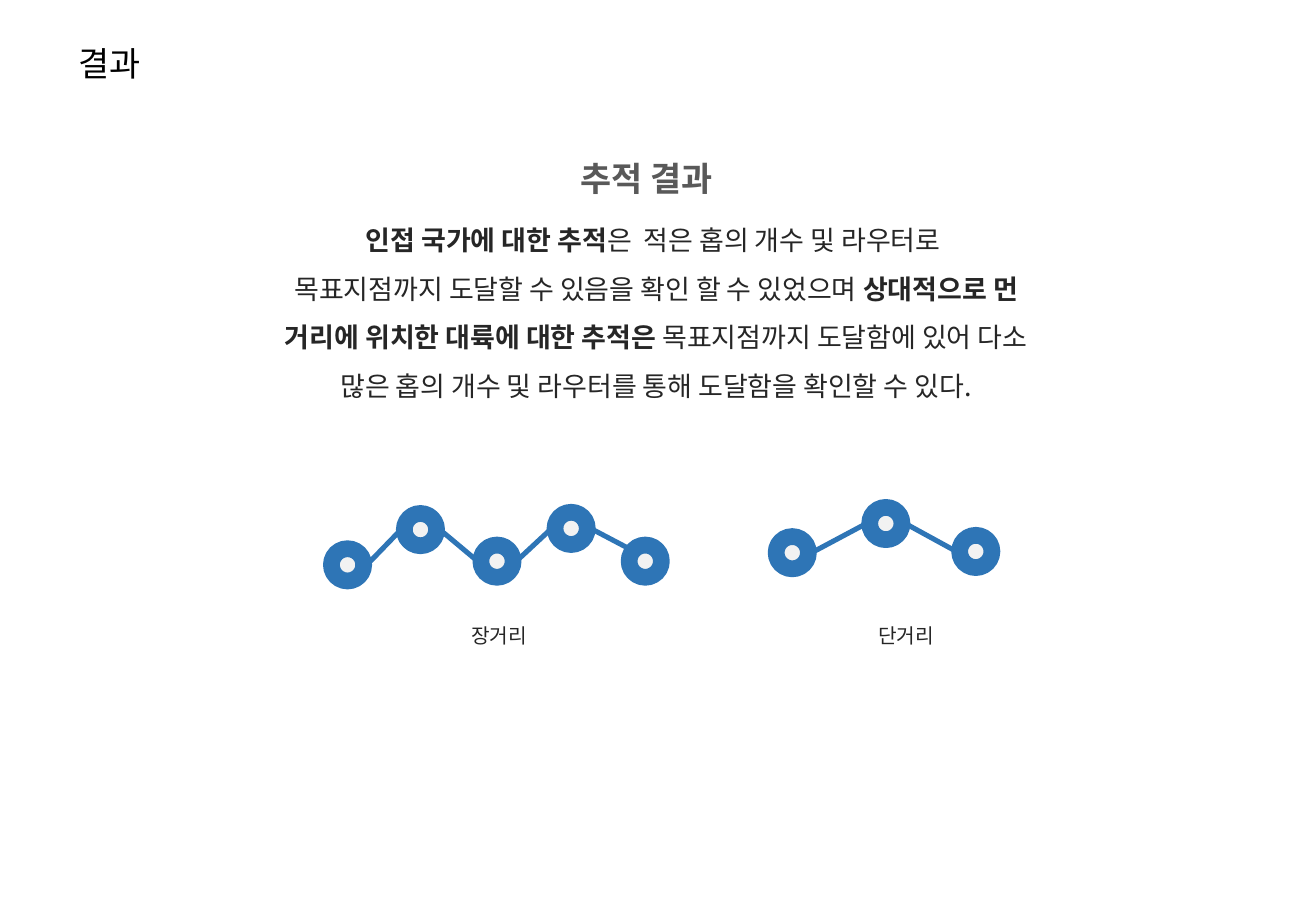
from pptx import Presentation
from pptx.dml.color import RGBColor
from pptx.enum.shapes import MSO_CONNECTOR, MSO_SHAPE
from pptx.enum.text import MSO_AUTO_SIZE, PP_ALIGN
from pptx.oxml.ns import qn
from pptx.util import Inches, Pt

LEFT, CENTER = PP_ALIGN.LEFT, PP_ALIGN.CENTER
OVAL = MSO_SHAPE.OVAL
LINE = MSO_CONNECTOR.STRAIGHT
FIT = MSO_AUTO_SIZE.SHAPE_TO_FIT_TEXT

FONT = "Noto Sans CJK KR"
COLORS = {
    "black": "000000",
    "dark": "262626",
    "gray": "595959",
    "blue": "2E75B6",
    "pale": "F2F2F2",
}
RING, CORE = 0.32, 0.19


class Deck:
    def __init__(self, width, height):
        self.prs = Presentation()
        self.prs.slide_width = Inches(width)
        self.prs.slide_height = Inches(height)
        self.slide = self.prs.slides.add_slide(self.prs.slide_layouts[6])

    def color(self, name):
        return RGBColor.from_string(COLORS[name])

    def text(self, box, paras, size, color, align=LEFT, space=None):
        """Each paragraph is a list of (text, bold) pairs."""
        frame = self.slide.shapes.add_textbox(*map(Inches, box)).text_frame
        frame.word_wrap = True
        frame.auto_size = FIT
        for i, parts in enumerate(paras):
            para = frame.add_paragraph() if i else frame.paragraphs[0]
            para.alignment = align
            para.line_spacing = space
            for words, bold in parts:
                run = para.add_run()
                run.text = words
                font = run.font
                font.size, font.bold, font.name = Pt(size), bold, FONT
                font.color.rgb = self.color(color)
                east = font._element.makeelement(qn("a:ea"), {"typeface": FONT})
                font._element.append(east)

    def dot(self, x, y, size, fill, weight):
        shape = self.slide.shapes.add_shape(
            OVAL, Inches(x), Inches(y), Inches(size), Inches(size))
        shape.shadow.inherit = False
        shape.fill.solid()
        shape.fill.fore_color.rgb = self.color(fill)
        shape.line.color.rgb = self.color("blue")
        shape.line.width = Pt(weight)

    def link(self, start, end):
        line = self.slide.shapes.add_connector(LINE, *map(Inches, start + end))
        line.line.color.rgb = self.color("blue")
        line.line.width = Pt(3)
        props = line._element.spPr
        props.append(props.makeelement(qn("a:effectLst"), {}))

    def route(self, hops, tip=(0, RING / 2)):
        """Join hops side to side; tip is where the last link lands on its hop."""
        last = len(hops) - 2
        for i, ((x, y), (nx, ny)) in enumerate(zip(hops, hops[1:])):
            dx, dy = tip if i == last else (0, RING / 2)
            self.link((x + RING, y + RING / 2), (nx + dx, ny + dy))
        inset = (RING - CORE) / 2
        for x, y in hops:
            self.dot(x, y, RING, "dark", 6)
            self.dot(x + inset, y + inset, CORE, "pale", 4.5)


def main():
    deck = Deck(10.83, 7.5)

    # Headings
    deck.text((0.55, 0.3, 4.76, 0.44), [[("결과", False)]], 20, "black")
    deck.text((4.48, 1.25, 1.68, 0.44), [[("추적 결과", True)]], 20, "gray", CENTER)

    # Findings
    deck.text((2.16, 1.66, 6.48, 2.07), [
        [("인접 국가에 대한 추적", True),
         ("은  적은 홉의 개수 및 라우터로 ", False)],
        [("목표지점까지 도달할 수 있음을 확인 할 수 있었으며 ", False),
         ("상대적으로 먼 거리에 위치한 대륙에 대한 추적은 ", True),
         ("목표지점까지 도달함에 있어 다소 많은 홉의 개수 및 라우터를 통해 "
          "도달함을 확인할 수 있다.", False)],
    ], 16, "dark", CENTER, 1.5)

    # Long and short routes
    deck.route([(2.7, 4.49), (3.3, 4.2), (3.93, 4.46), (4.54, 4.19), (5.15, 4.46)],
               tip=(0.09, 0.09))
    deck.route([(6.36, 4.39), (7.13, 4.15), (7.87, 4.38)])

    # Route labels
    for x, label in ((3.78, "장거리"), (7.13, "단거리")):
        deck.text((x, 4.98, 3.13, 0.36), [[(label, False)]], 12, "dark", space=1.5)

    deck.prs.save("out.pptx")


if __name__ == "__main__":
    main()
